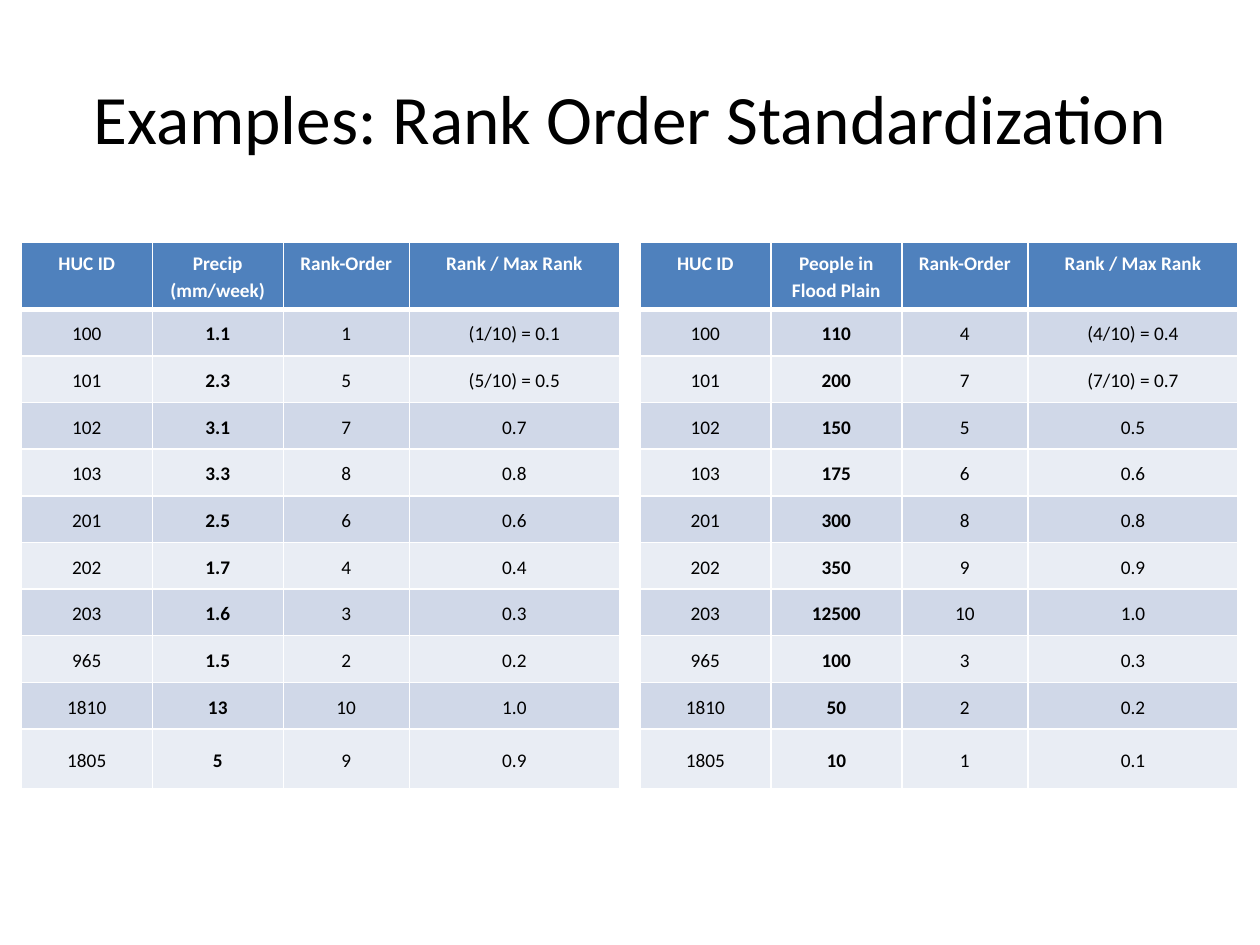
from lxml.etree import SubElement
from pptx import Presentation
from pptx.dml.color import RGBColor
from pptx.enum.text import MSO_ANCHOR, PP_ALIGN
from pptx.oxml.ns import qn
from pptx.util import Cm, Pt

TITLE = "Examples: Rank Order Standardization"
HUC_IDS = [100, 101, 102, 103, 201, 202, 203, 965, 1810, 1805]
TABLES = [
    {
        "measure": "Precip (mm/week)",
        "values": [1.1, 2.3, 3.1, 3.3, 2.5, 1.7, 1.6, 1.5, 13, 5],
        "ranks": [1, 5, 7, 8, 6, 4, 3, 2, 10, 9],
    },
    {
        "measure": "People in Flood Plain",
        "values": [110, 200, 150, 175, 300, 350, 12500, 100, 50, 10],
        "ranks": [4, 7, 5, 6, 8, 9, 10, 3, 2, 1],
    },
]
WORKED_EXAMPLES = 2
COLORS = {
    "text": "000000",
    "white": "FFFFFF",
    "header": "4F81BD",
    "odd": "D0D8E8",
    "even": "E9EDF4",
}
FONT = "Calibri"
COLUMN_WIDTHS = [2.64, 2.64, 2.54, 4.24]
ROW_HEIGHTS = [1.32] + [0.94] * 9 + [1.21]
TABLE_LEFT, TABLE_TOP, TABLE_GAP = 0.43, 4.88, 0.41


def add_text(paragraph, text, size, color, bold=False):
    paragraph.alignment = PP_ALIGN.CENTER
    run = paragraph.add_run()
    run.text = text
    run.font.name = FONT
    run.font.size = Pt(size)
    run.font.bold = bold
    run.font.color.rgb = RGBColor.from_string(COLORS[color])


def add_borders(cell, widths):
    properties = cell._tc.get_or_add_tcPr()
    for side, width in widths.items():
        line = SubElement(properties, qn(f"a:ln{side}"), w=str(Pt(width)))
        fill = SubElement(line, qn("a:solidFill"))
        SubElement(fill, qn("a:srgbClr"), val=COLORS["white"])


def table_rows(content):
    ranks = content["ranks"]
    rows = [["HUC ID", content["measure"], "Rank-Order", "Rank / Max Rank"]]
    for index, (huc_id, value, rank) in enumerate(zip(HUC_IDS, content["values"], ranks)):
        score = f"{rank / max(ranks):.1f}"
        if index < WORKED_EXAMPLES:
            score = f"({rank}/{max(ranks)}) = {score}"
        rows.append([str(huc_id), str(value), str(rank), score])
    return rows


def format_cell(cell, text, row, column):
    header = row == 0
    add_borders(cell, {"L": 1, "R": 1, "T": 3 if row == 1 else 1, "B": 3 if header else 1})
    cell.fill.solid()
    fill = "header" if header else "odd" if row % 2 else "even"
    cell.fill.fore_color.rgb = RGBColor.from_string(COLORS[fill])
    cell.vertical_anchor = MSO_ANCHOR.TOP if header else MSO_ANCHOR.MIDDLE
    paragraph = cell.text_frame.paragraphs[0]
    paragraph.line_spacing = 1.15
    paragraph.space_after = Pt(10)
    add_text(paragraph, text, 11, "white" if header else "text", header or column == 1)


def add_rank_table(slide, content, left):
    rows = table_rows(content)
    shape = slide.shapes.add_table(
        len(rows), len(COLUMN_WIDTHS), Cm(left), Cm(TABLE_TOP),
        Cm(sum(COLUMN_WIDTHS)), Cm(sum(ROW_HEIGHTS)),
    )
    table = shape.table
    for column, width in zip(table.columns, COLUMN_WIDTHS):
        column.width = Cm(width)
    for row, height in zip(table.rows, ROW_HEIGHTS):
        row.height = Cm(height)
    for row, texts in enumerate(rows):
        for column, text in enumerate(texts):
            format_cell(table.cell(row, column), text, row, column)


def main():
    """Build the slide with two rank-order standardization tables."""
    presentation = Presentation()
    presentation.slide_width, presentation.slide_height = Cm(25.4), Cm(19.05)
    slide = presentation.slides.add_slide(presentation.slide_layouts[5])
    title = slide.shapes.title
    title.left, title.top, title.width, title.height = Cm(1.27), Cm(0.76), Cm(22.86), Cm(3.18)
    title.text_frame.vertical_anchor = MSO_ANCHOR.MIDDLE
    add_text(title.text_frame.paragraphs[0], TITLE, 39.6, "text")
    for index, content in enumerate(TABLES):
        add_rank_table(slide, content, TABLE_LEFT + index * (sum(COLUMN_WIDTHS) + TABLE_GAP))
    presentation.save("out.pptx")


if __name__ == "__main__":
    main()
